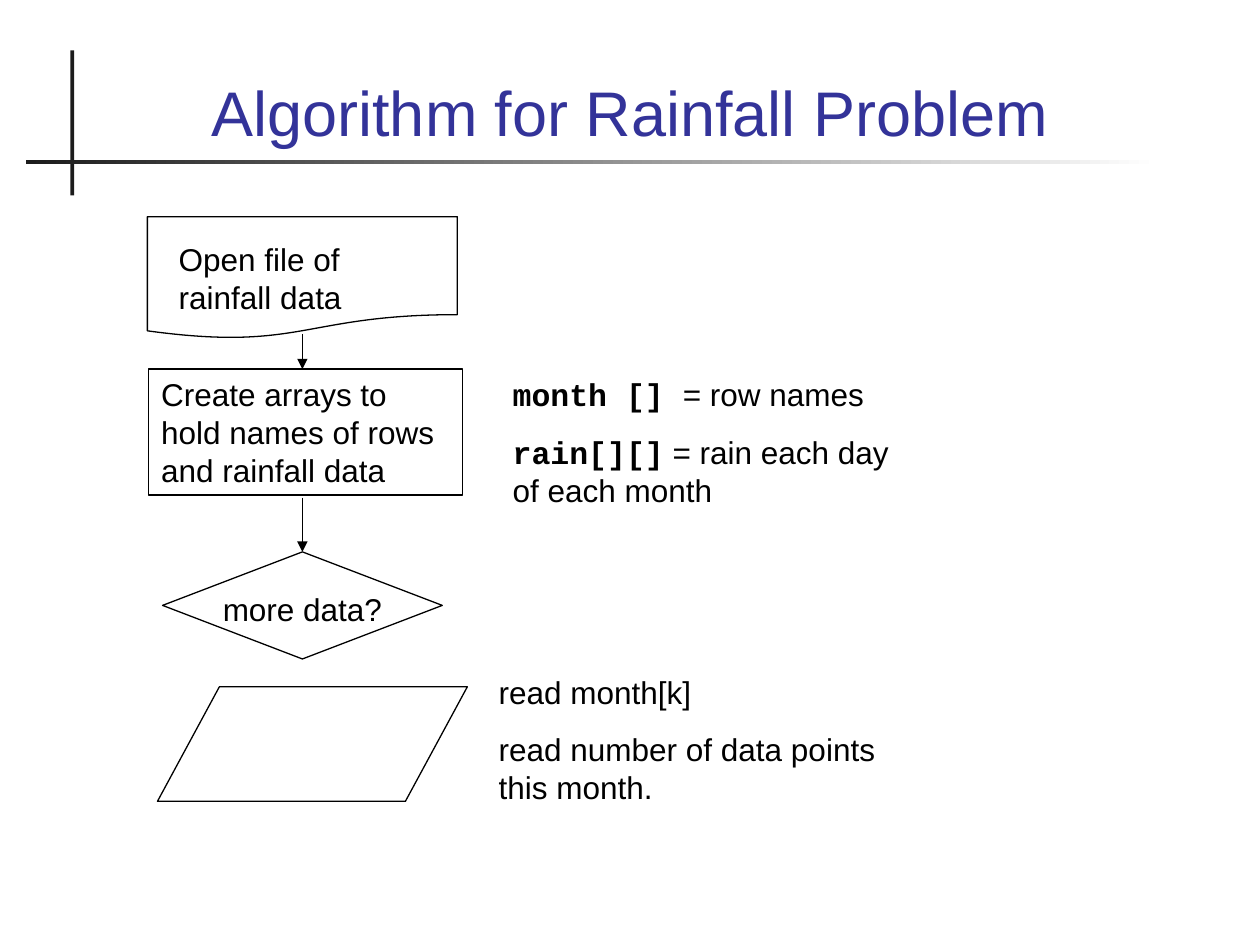
from pptx import Presentation
from pptx.dml.color import RGBColor
from pptx.enum import shapes, text
from pptx.oxml.ns import qn
from pptx.util import Inches, Pt
from lxml import etree

BLACK = RGBColor(0, 0, 0)
DARK = RGBColor(0x1C, 0x1C, 0x1C)
WHITE = RGBColor(0xFF, 0xFF, 0xFF)
BLUE = RGBColor(0x33, 0x33, 0x99)
SANS, MONO = "Arial", "Courier New"
KIND = shapes.MSO_SHAPE
LEFT, MID = text.PP_ALIGN.LEFT, text.PP_ALIGN.CENTER
AXIS = 2.4  # centre line of the flow


def place(box):
    return [Inches(n) for n in box]


def add_run(para, words, size=18, font=SANS, color=BLACK, bold=False):
    run = para.add_run()
    run.text = words
    run.font.size, run.font.name, run.font.bold = Pt(size), font, bold
    run.font.color.rgb = color


def write(shape, paras, align=LEFT):
    """Each paragraph is a list of (words, is_code) runs."""
    frame = shape.text_frame
    frame.word_wrap = True
    frame.auto_size = text.MSO_AUTO_SIZE.NONE
    frame.vertical_anchor = text.MSO_ANCHOR.TOP
    for i, runs in enumerate(paras):
        para = frame.add_paragraph() if i else frame.paragraphs[0]
        para.alignment = align
        if i:
            para.space_before = Pt(11.2)
        for words, code in runs:
            add_run(para, words, font=MONO if code else SANS, bold=code)


def add_note(slide, box, paras, align=LEFT):
    write(slide.shapes.add_textbox(*place(box)), paras, align)


def add_node(slide, kind, box):
    node = slide.shapes.add_shape(kind, *place(box))
    node.shadow.inherit = False
    node.fill.background()
    node.line.color.rgb = BLACK
    node.line.width = Pt(0.75)
    return node


def add_bar(slide, box, fade=False):
    bar = slide.shapes.add_shape(KIND.RECTANGLE, *place(box))
    bar.shadow.inherit = False
    bar.line.fill.background()
    if fade:
        bar.fill.gradient()
        bar.fill.gradient_angle = 180
        for stop, color in zip(bar.fill.gradient_stops, (WHITE, DARK)):
            stop.color.rgb = color
    else:
        bar.fill.solid()
        bar.fill.fore_color.rgb = DARK


def add_arrow(slide, top, end):
    x = Inches(AXIS)
    arrow = slide.shapes.add_connector(
        shapes.MSO_CONNECTOR.STRAIGHT, x, Inches(top), x, Inches(end))
    arrow.line.color.rgb = BLACK
    arrow.line.width = Pt(0.75)
    head = etree.SubElement(arrow.line._get_or_add_ln(), qn("a:tailEnd"))
    head.set("type", "triangle")
    etree.SubElement(arrow._element.spPr, qn("a:effectLst"))
    return arrow


def add_title(slide, words):
    title = slide.shapes.title
    title.left, title.top, title.width, title.height = place(
        (0.67, 0.28, 8.66, 0.95))
    frame = title.text_frame
    frame.auto_size = text.MSO_AUTO_SIZE.NONE
    frame.vertical_anchor = text.MSO_ANCHOR.BOTTOM
    frame.paragraphs[0].alignment = MID
    add_run(frame.paragraphs[0], words, 36, color=BLUE)


def main():
    deck = Presentation()
    deck.slide_width, deck.slide_height = Inches(10), Inches(7.5)
    slide = deck.slides.add_slide(deck.slide_layouts[5])

    # Title with crossed bars
    add_bar(slide, (0.56, 0.4, 0.03, 1.15))
    add_bar(slide, (0.21, 1.27, 8.99, 0.03), fade=True)
    add_title(slide, "Algorithm for Rainfall Problem")

    # Open the file
    add_node(slide, KIND.FLOWCHART_DOCUMENT, (1.17, 1.72, 2.46, 0.97))
    add_note(slide, (1.32, 1.86, 2.15, 0.7),
             [[("Open file of rainfall data", False)]])
    add_arrow(slide, 2.65, 2.93)

    # Create the arrays
    step = add_node(slide, KIND.RECTANGLE, (1.18, 2.93, 2.49, 1))
    write(step, [[("Create arrays to hold names of rows and rainfall data",
                   False)]])
    add_note(slide, (3.97, 2.93, 3.22, 1.16), [
        [("month [] ", True), ("= row names", False)],
        [("rain[][]", True), (" = rain each day of each month", False)]])

    # Test for more data
    test = add_node(slide, KIND.FLOWCHART_DECISION, (1.29, 4.38, 2.22, 0.85))
    add_note(slide, (1.34, 4.63, 2.12, 0.4), [[("more data?", False)]], MID)
    add_arrow(slide, 3.95, 4.38).end_connect(test, 0)

    # Read the data
    add_node(slide, KIND.FLOWCHART_DATA, (1.25, 5.45, 2.46, 0.91))
    add_note(slide, (3.86, 5.29, 3.24, 1.16), [
        [("read month[k]", False)],
        [("read number of data points this month.", False)]])

    deck.save("out.pptx")


if __name__ == "__main__":
    main()
